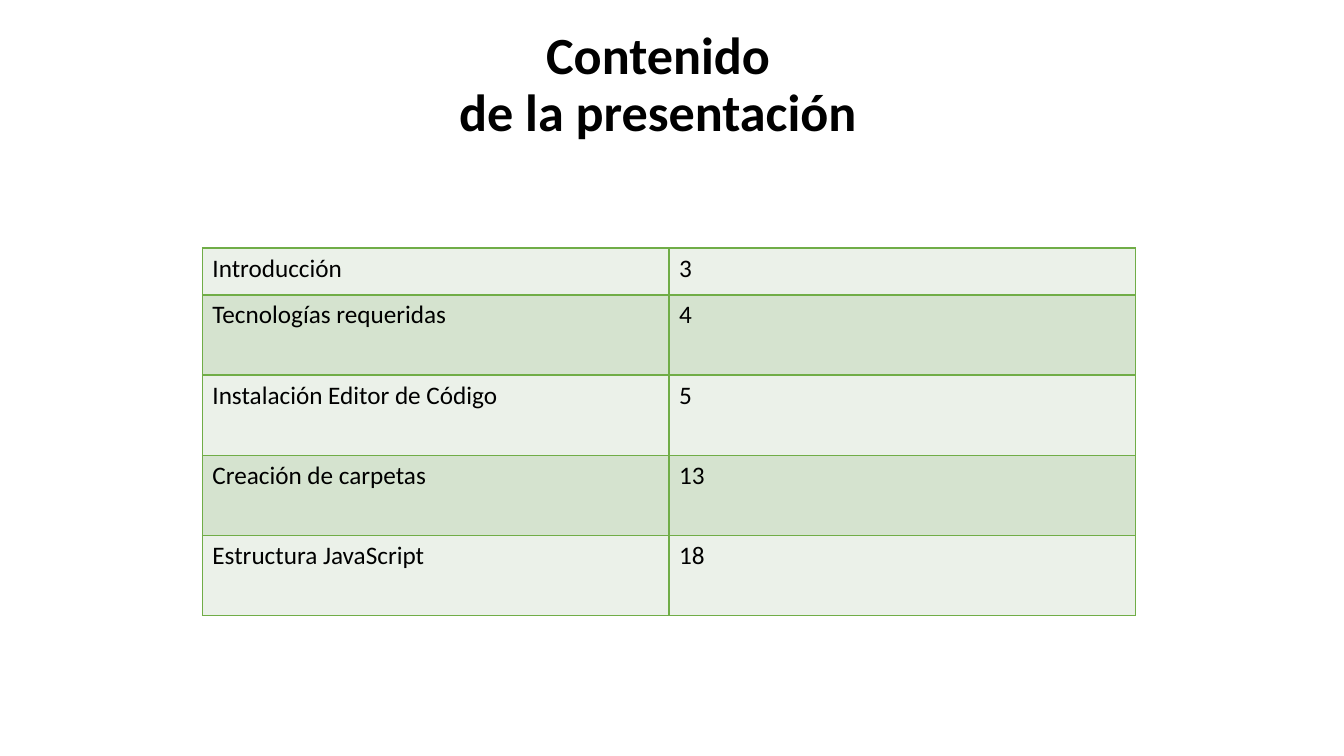
"""Build the contents slide with its title and table of sections."""
from lxml.etree import SubElement
from pptx import Presentation
from pptx.dml.color import RGBColor
from pptx.enum.text import MSO_ANCHOR, MSO_AUTO_SIZE, PP_ALIGN
from pptx.oxml.ns import qn
from pptx.util import Cm, Pt


def paint(color, value):
    color.rgb = RGBColor.from_string(value)


def write(para, text, alignment, **font):
    para.alignment = alignment
    span = para.add_run()
    span.text = text
    for name, value in {"name": "Calibri", **font}.items():
        setattr(span.font, name, value)
    paint(span.font.color, "000000")


SECTIONS = [
    ("Introducción", "3"),
    ("Tecnologías requeridas", "4"),
    ("Instalación Editor de Código", "5"),
    ("Creación de carpetas", "13"),
    ("Estructura JavaScript", "18"),
]
BAND_FILLS = ["EBF1E9", "D5E3CF"]
ALIGNMENTS = [PP_ALIGN.LEFT, PP_ALIGN.JUSTIFY]
BORDER_COLOR = "70AD47"
FIRST_HEIGHT, ROW_HEIGHT, COLUMN_WIDTH = Cm(1.18), Cm(2.02), Cm(11.76)

deck = Presentation()
deck.slide_width, deck.slide_height = Cm(33.87), Cm(19.05)
page = deck.slides.add_slide(deck.slide_layouts[5])

title = page.shapes.title
placement = {"left": Cm(1.98), "top": Cm(0.61), "width": Cm(29.21), "height": Cm(3.12)}
for name, value in placement.items():
    setattr(title, name, value)
frame = title.text_frame
frame_format = {
    "word_wrap": True,
    "auto_size": MSO_AUTO_SIZE.NONE,
    "vertical_anchor": MSO_ANCHOR.MIDDLE,
}
for name, value in frame_format.items():
    setattr(frame, name, value)
for number, line in enumerate(["Contenido", "de la presentación"]):
    para = frame.add_paragraph() if number else frame.paragraphs[0]
    para.line_spacing = 0.9
    write(para, line, PP_ALIGN.CENTER, size=Pt(37.3), bold=True)

table = page.shapes.add_table(
    len(SECTIONS), 2, Cm(5.1), Cm(6.25),
    2 * COLUMN_WIDTH, FIRST_HEIGHT + (len(SECTIONS) - 1) * ROW_HEIGHT,
).table
table.first_row = False
table.horz_banding = False
for column in table.columns:
    column.width = COLUMN_WIDTH

for row_number, section in enumerate(SECTIONS):
    table.rows[row_number].height = ROW_HEIGHT if row_number else FIRST_HEIGHT
    for column_number, text in enumerate(section):
        cell = table.cell(row_number, column_number)
        write(cell.text_frame.paragraphs[0], text, ALIGNMENTS[column_number], size=Pt(18))
        properties = cell._tc.get_or_add_tcPr()
        for side in ["L", "R", "T", "B"]:
            under_first = (row_number, side) in [(0, "B"), (1, "T")]
            width = Pt(2) if under_first else Pt(1)
            border = SubElement(properties, qn(f"a:ln{side}"), w=str(width))
            SubElement(SubElement(border, qn("a:solidFill")), qn("a:srgbClr"), val=BORDER_COLOR)
        cell.fill.solid()
        paint(cell.fill.fore_color, BAND_FILLS[row_number % 2])

deck.save("out.pptx")
